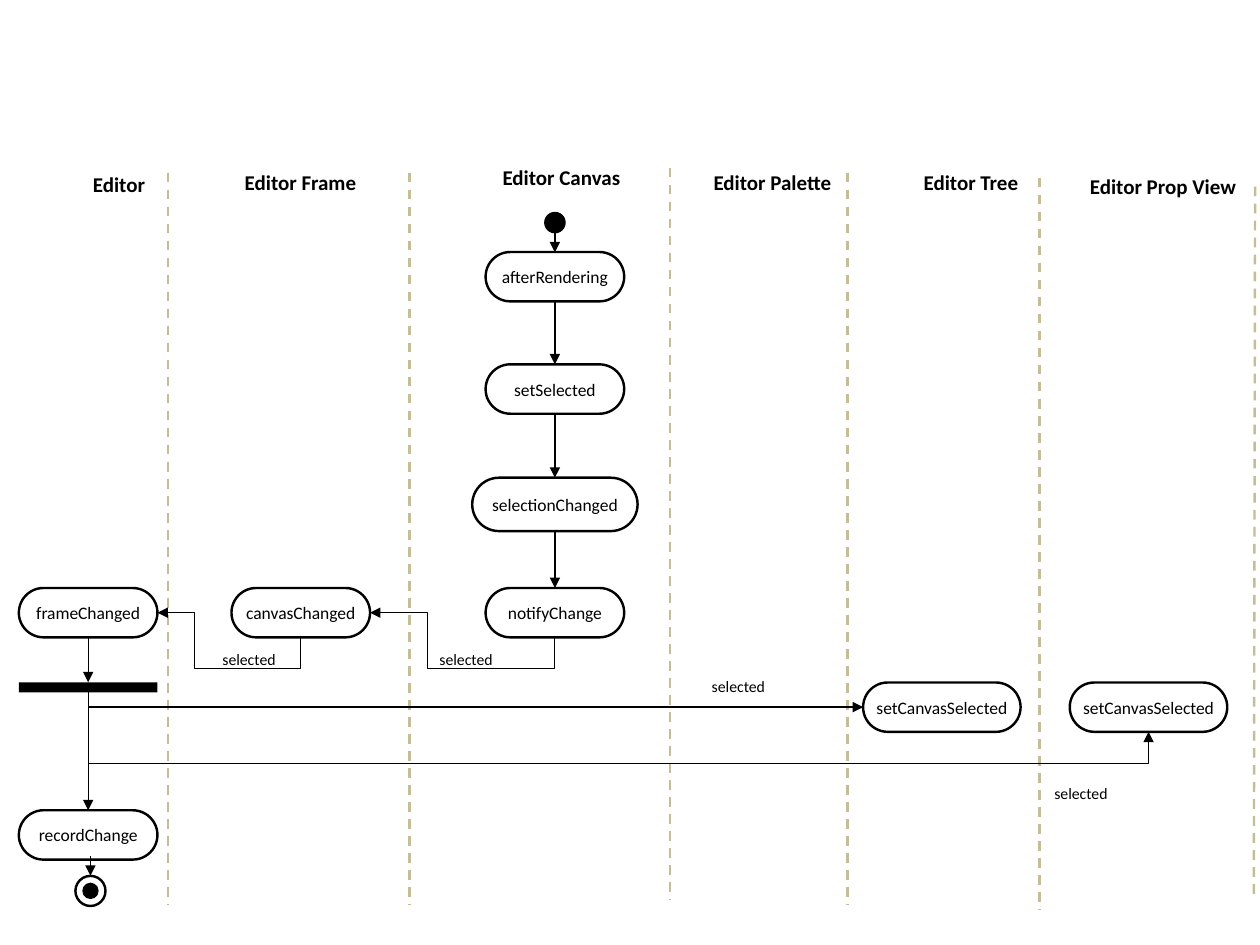
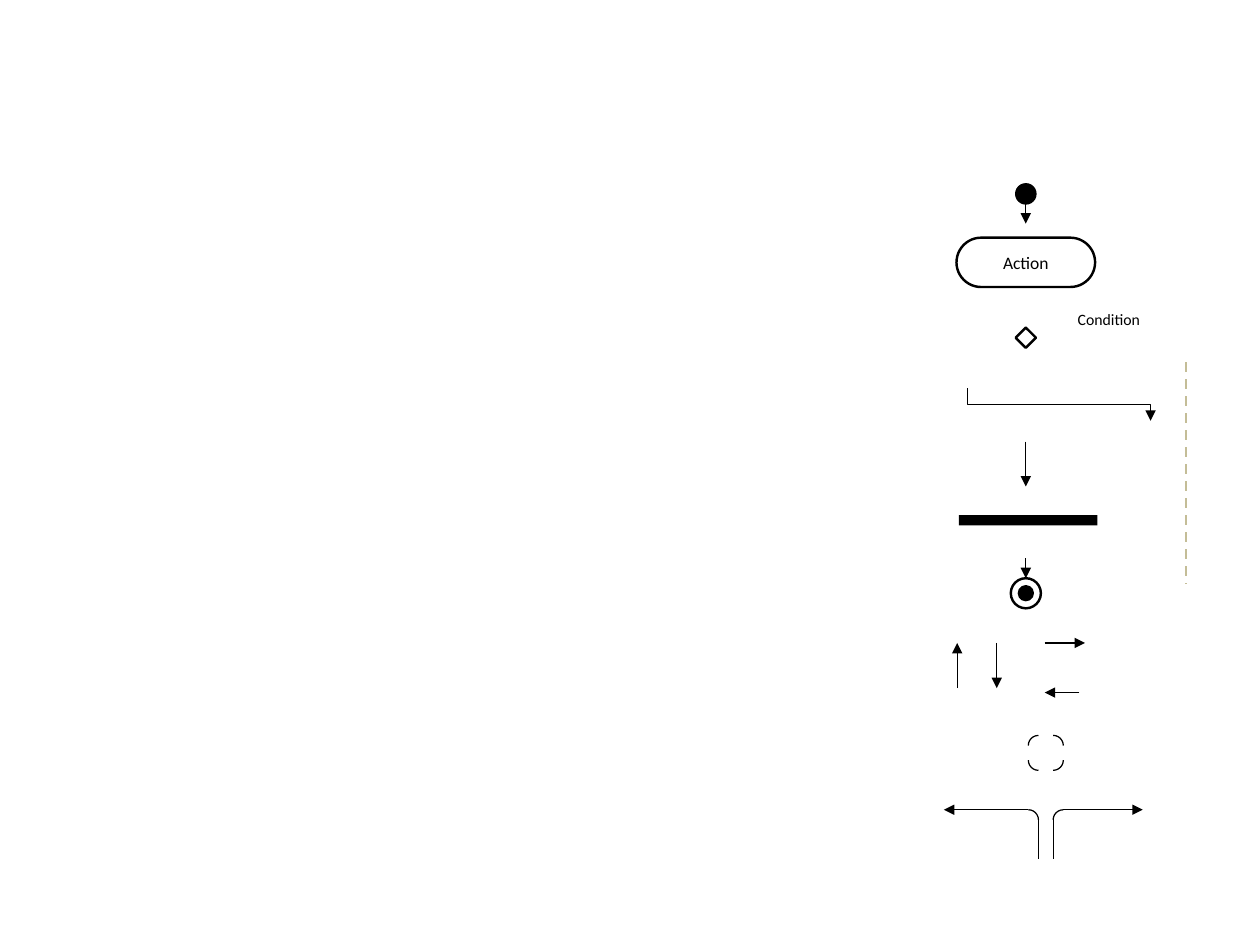
from pptx import Presentation
from pptx.dml.color import RGBColor as Rgb
from pptx.enum.dml import MSO_LINE as Dash
from pptx.enum.shapes import MSO_CONNECTOR as Link, MSO_SHAPE as Kind
from pptx.enum.text import MSO_ANCHOR as Anchor, MSO_AUTO_SIZE as Fit, PP_ALIGN as Align
from pptx.oxml.ns import qn
from pptx.util import Pt
from lxml.etree import SubElement as Sub

HUES = {"ink": "000000", "paper": "FFFFFF", "lane": "C4BD97"}
THIN, THICK = 0.7, 1.4
ACT_W, ACT_H = 79.2, 28.2
BAR_H = 5.8
LANE_H = 418.3
ARC_R = 5.8

FONTS = {
    "head": {"name": "Calibri", "size": Pt(12), "bold": True},
    "act": {"name": "Calibri", "size": Pt(10), "bold": False},
    "note": {"name": "Calibri", "size": Pt(9), "bold": False},
}
FRAMES = {
    "box": {"word_wrap": True, "auto_size": Fit.SHAPE_TO_FIT_TEXT},
    "act": {"word_wrap": True, "vertical_anchor": Anchor.MIDDLE,
            "margin_left": Pt(2.9), "margin_right": Pt(2.9),
            "margin_top": Pt(2.9), "margin_bottom": Pt(2.9)},
}


def hue(name):
    return Rgb.from_string(HUES[name])


def apply(item, style):
    for key, value in style.items():
        setattr(item, key, value)


def write(frame, text, font, align, style):
    apply(frame, FRAMES[style])
    para = frame.paragraphs[0]
    para.alignment = align
    run = para.add_run()
    run.text = text
    apply(run.font, FONTS[font])
    run.font.color.rgb = hue("ink")


# Basic elements
def label(slide, text, x, y, w=79.2, h=18, font="note", align=Align.LEFT):
    box = slide.shapes.add_textbox(Pt(x), Pt(y), Pt(w), Pt(h))
    write(box.text_frame, text, font, align, "box")


def shape(slide, kind, x, y, w, h, fill="paper", width=THICK):
    item = slide.shapes.add_shape(kind, Pt(x), Pt(y), Pt(w), Pt(h))
    item.shadow.inherit = False
    if fill:
        item.fill.solid()
        item.fill.fore_color.rgb = hue(fill)
    else:
        item.fill.background()
    if width:
        item.line.color.rgb = hue("ink")
        item.line.width = Pt(width)
    else:
        item.line.fill.background()
    return item


def disc(slide, cx, cy, size, fill, width):
    shape(slide, Kind.OVAL, cx - size / 2, cy - size / 2, size, size, fill, width)


def line(slide, start, end, tip=True, color="ink", width=THIN, dash=None, link=Link.STRAIGHT):
    wire = slide.shapes.add_connector(link, *map(Pt, (*start, *end)))
    wire.line.color.rgb = hue(color)
    wire.line.width = Pt(width)
    if dash:
        wire.line.dash_style = dash
    props = wire.element.spPr
    if tip:
        Sub(props.find(qn("a:ln")), qn("a:tailEnd"), type="triangle")
    Sub(props, qn("a:effectLst"))
    return wire


def elbow(slide, start, end, *bends):
    """Leave start vertically; each bend is a share of the height or width."""
    (x1, y1), (x2, y2) = start, end
    cx, cy = (x1 + x2) / 2, (y1 + y2) / 2
    # The preset runs sideways, so its box is turned by a quarter
    dx, dy = abs(y2 - y1) / 2, abs(x2 - x1) / 2
    wire = line(slide, (cx - dx, cy - dy), (cx + dx, cy + dy), link=Link.ELBOW)
    props = wire.element.spPr
    frame = props.find(qn("a:xfrm"))
    frame.set("rot", str((270 if x2 > x1 else 90) * 60000))
    frame.set("flipH", "1")
    geom = props.find(qn("a:prstGeom"))
    geom.set("prst", f"bentConnector{len(bends) + 2}")
    guides = geom.find(qn("a:avLst"))
    for num, bend in enumerate(bends, 1):
        Sub(guides, qn("a:gd"), name=f"adj{num}", fmla=f"val {round(bend * 100000)}")


# Activity diagram symbols
def action(slide, text, cx, y, w=ACT_W, h=ACT_H):
    item = shape(slide, Kind.ROUNDED_RECTANGLE, cx - w / 2, y, w, h)
    item.adjustments[0] = 0.5
    write(item.text_frame, text, "act", Align.CENTER, "act")


def bar(slide, x, y):
    shape(slide, Kind.RECTANGLE, x, y, ACT_W, BAR_H, "ink", None)


def border(slide, x, top, end, foot=None):
    line(slide, (x, top), (foot or x, end), False, "lane", THICK, Dash.DASH)


def begin(slide, cx, y):
    disc(slide, cx, y + 5.8, 11.6, "ink", 0.75)
    line(slide, (cx, y + 11.6), (cx, y + 22.8))


def finish(slide, cx, y):
    disc(slide, cx, y + 8.6, 17.2, "paper", THICK)
    disc(slide, cx, y + 8.6, 8.6, "ink", 0.75)
    line(slide, (cx, y - 11.4), (cx, y))


def arc(slide, cx, cy, turn):
    item = shape(slide, Kind.ARC, cx - ARC_R, cy - ARC_R, 2 * ARC_R, 2 * ARC_R, None, THIN)
    item.rotation = turn


def flow(slide):
    # Lanes: title, left, top, width, alignment, border, border top
    lanes = [
        ("Editor", 13, 94.3, 77, Align.RIGHT, 96, 98.6),
        ("Editor Frame", 108.7, 93.4, 126, Align.CENTER, 234, 98.6),
        ("Editor Canvas", 257.8, 90.5, 126, Align.CENTER, 383, 95.8),
        ("Editor Palette", 394.6, 93.2, 93.6, Align.CENTER, 484.4, 98.6),
        ("Editor Tree", 491.8, 93.2, 126, Align.CENTER, 594, 101.5),
        ("Editor Prop View", 611.3, 95.8, 106.6, Align.CENTER, 717.2, 106.6),
    ]
    for name, x, y, w, align, edge, top in lanes[:-1]:
        border(slide, edge, top, top + LANE_H)
    border(slide, 717.2, 106.6, 511.2, 716.5)
    for name, x, y, w, align, edge, top in lanes:
        label(slide, name, x, y, w, 21.6, "head", align)

    # Actions
    main_x, frame_x, canvas_x, tree_x, view_x = 50.4, 171.9, 317.1, 538.2, 656.3
    row, low, bar_y = 336, 390, 389.9
    steps = [("afterRendering", 144, ACT_W, ACT_H), ("setSelected", 208.2, ACT_W, ACT_H),
             ("selectionChanged", 273, 94.5, 30.5), ("notifyChange", row, ACT_W, ACT_H)]
    begin(slide, canvas_x, 121.4)
    for text, y, w, h in steps:
        action(slide, text, canvas_x, y, w, h)
    for (_, y, _, h), (_, below, _, _) in zip(steps, steps[1:]):
        line(slide, (canvas_x, y + h), (canvas_x, below))
    action(slide, "canvasChanged", frame_x, row)
    action(slide, "frameChanged", main_x, row)
    action(slide, "recordChange", main_x, 463)
    for cx in (tree_x, view_x):
        action(slide, "setCanvasSelected", cx, low, 90)

    # Links
    bar(slide, main_x - ACT_W / 2, bar_y)
    fork = (main_x, bar_y + BAR_H)
    line(slide, (main_x, row + ACT_H), (main_x, bar_y))
    line(slide, fork, (main_x, 463))
    elbow(slide, fork, (tree_x - 45, low + ACT_H / 2))
    elbow(slide, fork, (view_x, low + ACT_H), 1.8)
    for start, end, bend in ((frame_x, main_x, 0.74), (canvas_x, frame_x, 0.69)):
        elbow(slide, (start, row + ACT_H), (end + ACT_W / 2, row + ACT_H / 2), -1.27, bend)
    for x, y in ((595.4, 444.2), (399.6, 383.2), (244, 368), (120, 368)):
        label(slide, "selected", x, y)
    finish(slide, 51.7, 500.5)


def legend(slide):
    mid = 586.2
    border(slide, 677.6, 207, 334)

    # Nodes
    begin(slide, mid, 105)
    action(slide, "Action", mid, 135.8)
    label(slide, "Condition", 608.8, 173.6)
    shape(slide, Kind.DIAMOND, mid - 5.8, 187.2, 11.6, 11.6)
    bar(slide, 548, 294.4)
    finish(slide, mid, 330.4)

    # Arrows
    elbow(slide, (552.8, 221.8), (657.5, 240.5), 0.5)
    for start, end in (((mid, 252.4), (mid, 278)),
                       ((547, 393.2), (547, 367.4)), ((569.6, 367.4), (569.6, 393.2)),
                       ((597, 367.4), (620, 367.4)), ((616.8, 395.8), (597, 395.8))):
        line(slide, start, end)

    # Corners, then the two rounded branches
    left, right = 593.4, 601.8
    for cx, cy, turn in ((right, 426, 0), (right, 434.4, 90),
                         (left, 434.4, 180), (left, 426, 270)):
        arc(slide, cx, cy, turn)
    top = 462.7
    for x, side, tip, turn in ((left, -1, 539.4, 0), (right, 1, 653, 270)):
        turn_x = x + side * ARC_R
        arc(slide, turn_x, top + ARC_R, turn)
        line(slide, (turn_x, top), (tip, top))
        line(slide, (x, top + ARC_R), (x, 491), False)


def main():
    deck = Presentation()
    deck.slide_width, deck.slide_height = Pt(720), Pt(540)
    blank = deck.slide_layouts[6]
    for draw in (flow, legend):
        draw(deck.slides.add_slide(blank))
    deck.save("out.pptx")


if __name__ == "__main__":
    main()
